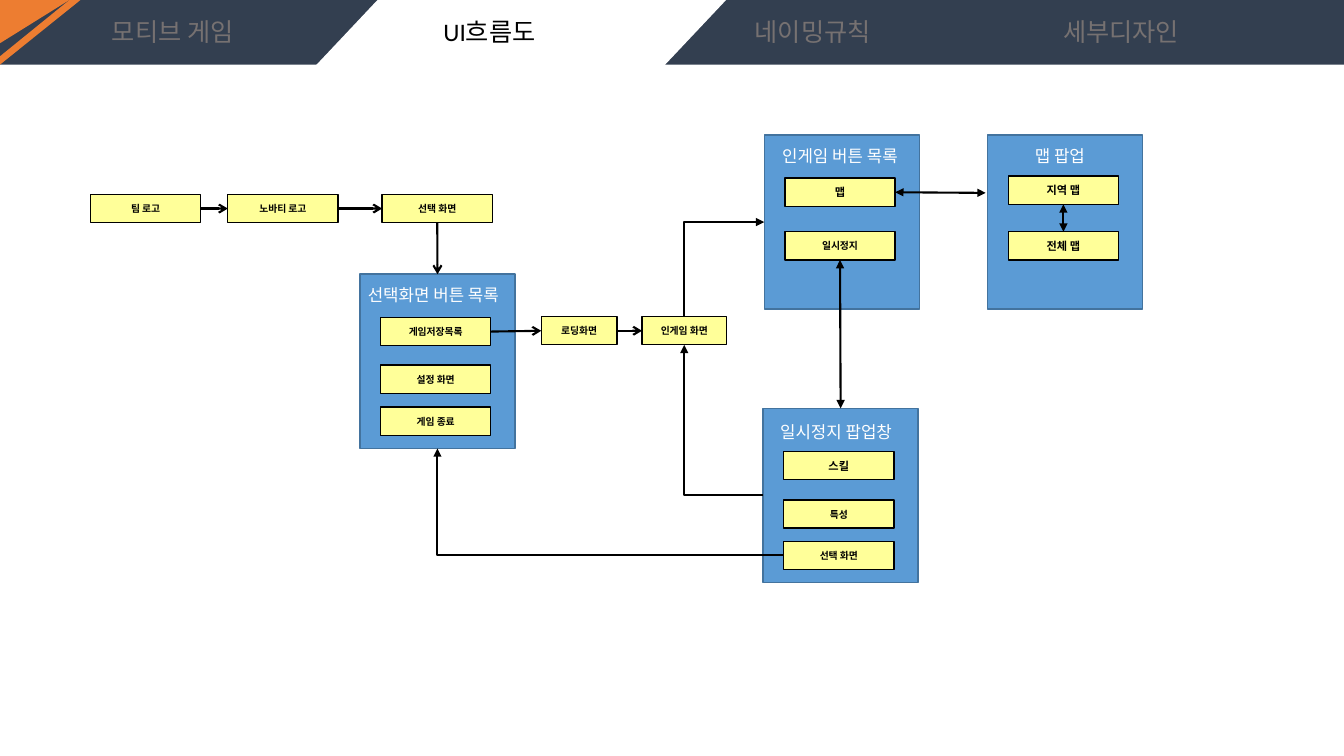
from lxml import etree
from pptx import Presentation
from pptx.dml.color import RGBColor
from pptx.enum.shapes import MSO_CONNECTOR, MSO_SHAPE
from pptx.enum.text import MSO_ANCHOR, PP_ALIGN
from pptx.oxml.ns import qn
from pptx.util import Cm, Pt

NAVY = RGBColor(0x33, 0x3F, 0x50)
ORANGE = RGBColor(0xED, 0x7D, 0x31)
GRAY = RGBColor(0x76, 0x71, 0x71)
BLUE = RGBColor(0x5B, 0x9B, 0xD5)
BLUE_EDGE = RGBColor(0x43, 0x73, 0x9E)
YELLOW = RGBColor(0xFF, 0xFF, 0x99)
WHITE = RGBColor(0xFF, 0xFF, 0xFF)
BLACK = RGBColor(0, 0, 0)

RECT, PARALLELOGRAM = MSO_SHAPE.RECTANGLE, MSO_SHAPE.PARALLELOGRAM
STRAIGHT, ELBOW = MSO_CONNECTOR.STRAIGHT, MSO_CONNECTOR.ELBOW
LEFT, CENTER = PP_ALIGN.LEFT, PP_ALIGN.CENTER
TOP, MIDDLE = MSO_ANCHOR.TOP, MSO_ANCHOR.MIDDLE
SITE_TOP, SITE_LEFT, SITE_BOTTOM, SITE_RIGHT = range(4)

HEAD_FONT, BUTTON_FONT = "Calibri", "Noto Sans CJK KR"
SLIDE_W, SLIDE_H = 33.87, 19.05
BAND_H = 1.63
PANEL_W, PANEL_H = 3.91, 4.39
BUTTON_W, BUTTON_H = 2.78, 0.71
BUTTON_INSET = 0.52


def write(sp, text, size=18, color=BLACK, font=HEAD_FONT, bold=False,
          align=LEFT, anchor=TOP):
    tf = sp.text_frame
    tf.word_wrap = True
    tf.vertical_anchor = anchor
    p = tf.paragraphs[0]
    p.alignment = align
    r = p.add_run()
    r.text = text
    r.font.size, r.font.bold, r.font.name = Pt(size), bold, font
    r.font.color.rgb = color
    etree.SubElement(r.font._element, qn("a:ea")).set("typeface", font)


def paint(sp, fill, edge=None):
    sp.shadow.inherit = False
    sp.fill.solid()
    sp.fill.fore_color.rgb = fill
    if edge is None:
        sp.line.fill.background()
    else:
        sp.line.color.rgb = edge
        sp.line.width = Pt(1)
    return sp


def add_block(s, x, y, w, h, fill, edge=None, kind=RECT):
    return paint(s.shapes.add_shape(kind, Cm(x), Cm(y), Cm(w), Cm(h)), fill, edge)


def add_label(s, x, y, w, h, text, **fmt):
    write(s.shapes.add_textbox(Cm(x), Cm(y), Cm(w), Cm(h)), text, **fmt)


def add_polygon(s, points, fill):
    start, *rest = [(Cm(x), Cm(y)) for x, y in points]
    fb = s.shapes.build_freeform(*start)
    fb.add_line_segments(rest)
    paint(fb.convert_to_shape(), fill)


def add_button(s, x, y, text, w=BUTTON_W, size=7):
    sp = add_block(s, x, y, w, BUTTON_H, YELLOW, BLACK)
    write(sp, text, size=size, font=BUTTON_FONT, bold=True,
          align=CENTER, anchor=MIDDLE)
    return sp


def add_header(s):
    """Draw the tab band; the active tab is the slide title."""
    add_block(s, 0, 0, SLIDE_W, BAND_H, NAVY)
    tab = add_block(s, 7.96, 0, 10.34, BAND_H + 0.02, WHITE, kind=PARALLELOGRAM)
    tab.adjustments[0] = 0.943
    add_polygon(s, [(1.75, 0), (2.03, 0), (0, BAND_H), (0, 1.42)], ORANGE)
    add_polygon(s, [(0, 0), (1.75, 0), (0, 1.09)], ORANGE)
    for x, text in ((2.57, "모티브 게임"), (18.77, "네이밍규칙"),
                    (26.54, "세부디자인")):
        add_label(s, x, 0.28, 5.2, 1.02, text, color=GRAY)
    title = s.shapes.title
    title.left, title.top, title.width, title.height = map(Cm, (10.92, 0.28, 4.14, 1.02))
    write(title, "UI흐름도")
    s.shapes._spTree.append(title._element)


def add_panel(s, x, y, heading, heading_box, buttons):
    """Draw a blue panel and return it with its buttons.

    heading_box is (dx, dy, width); buttons are (dy, text, size).
    """
    panel = add_block(s, x, y, PANEL_W, PANEL_H, BLUE, BLUE_EDGE)
    dx, dy, w = heading_box
    add_label(s, x + dx, y + dy, w, 0.77, heading, size=12, color=WHITE)
    return [panel] + [add_button(s, x + BUTTON_INSET, y + top, text, size=size)
                      for top, text, size in buttons]


def link(s, start, end=None, point=(0, 0), kind=STRAIGHT, head=None, tail=None):
    """Join two (shape, site) pairs, or a pair and a free point."""
    c = s.shapes.add_connector(kind, 0, 0, Cm(point[0]), Cm(point[1]))
    c.begin_connect(*start)
    if end:
        c.end_connect(*end)
    if kind == ELBOW:
        c._element.spPr.find(qn("a:prstGeom")).set("prst", "bentConnector2")
    c.line.color.rgb = BLACK
    c.line.width = Pt(1.5)
    ln = c.line._get_or_add_ln()
    for tag, arrow in (("a:headEnd", head), ("a:tailEnd", tail)):
        if arrow:
            etree.SubElement(ln, qn(tag)).set("type", arrow)
    etree.SubElement(c._element.spPr, qn("a:effectLst"))


def add_flow(s):
    game, map_button, pause_button = add_panel(
        s, 19.26, 3.4, "인게임 버튼 목록", (0.2, 0.14, 4.8),
        [(1.09, "맵", 8), (2.44, "일시정지", 7)])
    select, saves, _, _ = add_panel(
        s, 9.07, 6.91, "선택화면 버튼 목록", (-0.05, 0.13, 4.8),
        [(1.09, "게임저장목록", 7), (2.29, "설정 화면", 7), (3.35, "게임 종료", 7)])
    pause, _, _, to_select = add_panel(
        s, 19.23, 10.29, "일시정지 팝업창", (0.18, 0.2, 3.71),
        [(1.09, "스킬", 8), (2.31, "특성", 7), (3.35, "선택 화면", 7)])
    _, area_map, full_map = add_panel(
        s, 24.89, 3.4, "맵 팝업", (0.94, 0.14, 2.06),
        [(1.04, "지역 맵", 8), (2.44, "전체 맵", 8)])

    team, engine, select_screen = [
        add_button(s, x, 4.9, text)
        for x, text in ((2.28, "팀 로고"), (5.74, "노바티 로고"), (9.63, "선택 화면"))]
    loading = add_button(s, 13.64, 7.98, "로딩화면", w=1.91)
    game_screen = add_button(s, 16.18, 7.98, "인게임 화면", w=2.13)

    for a, b in ((team, engine), (engine, select_screen),
                 (saves, loading), (loading, game_screen)):
        link(s, (a, SITE_RIGHT), (b, SITE_LEFT), tail="arrow")
    link(s, (select_screen, SITE_BOTTOM), (select, SITE_TOP), tail="arrow")

    link(s, (to_select, SITE_LEFT), (select, SITE_BOTTOM), kind=ELBOW, tail="triangle")
    link(s, (pause, SITE_LEFT), (game_screen, SITE_BOTTOM), kind=ELBOW, tail="triangle")
    link(s, (game, SITE_LEFT), (game_screen, SITE_TOP), kind=ELBOW, head="triangle")

    both = {"head": "triangle", "tail": "triangle"}
    link(s, (map_button, SITE_RIGHT), point=(24.84, 4.86), **both)
    link(s, (full_map, SITE_TOP), (area_map, SITE_BOTTOM), **both)
    link(s, (pause_button, SITE_BOTTOM), (pause, SITE_TOP), **both)


def main():
    prs = Presentation()
    prs.slide_width, prs.slide_height = Cm(SLIDE_W), Cm(SLIDE_H)
    s = prs.slides.add_slide(prs.slide_layouts.get_by_name("Title Only"))
    add_header(s)
    add_flow(s)
    prs.save("out.pptx")


if __name__ == "__main__":
    main()
